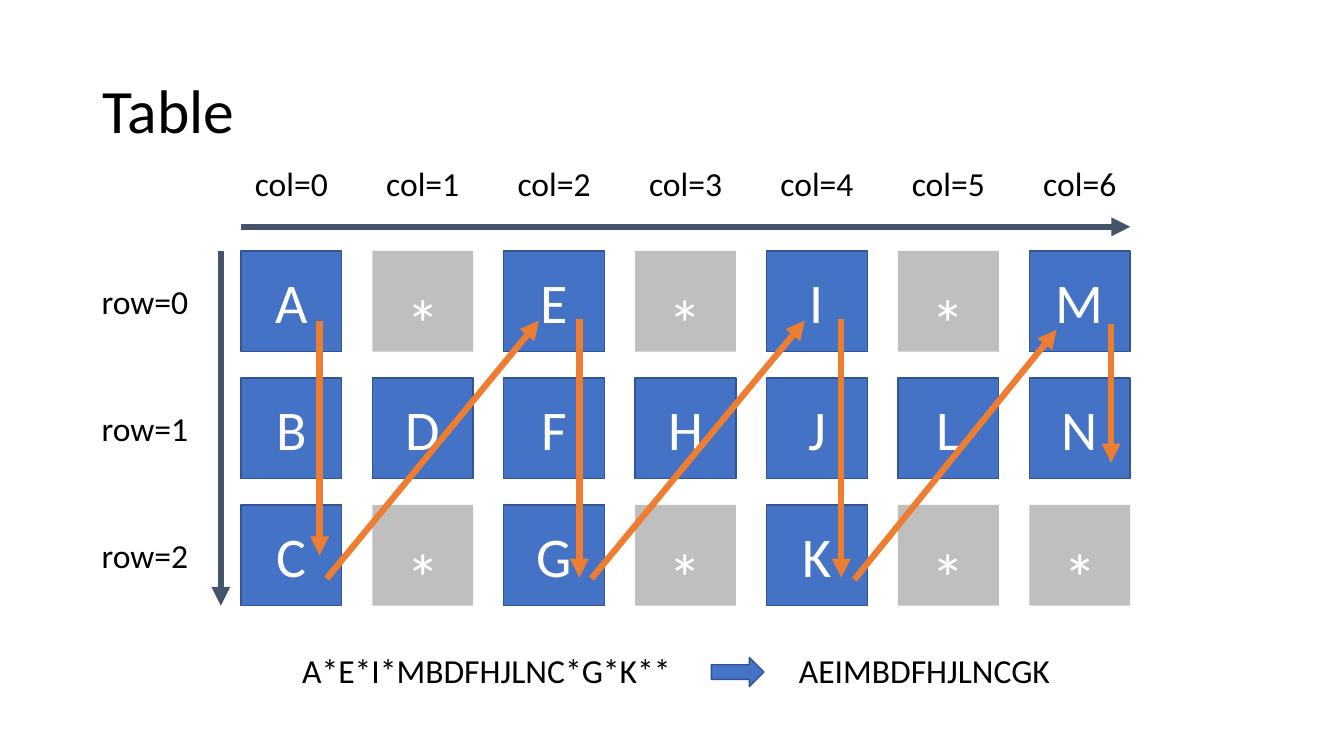
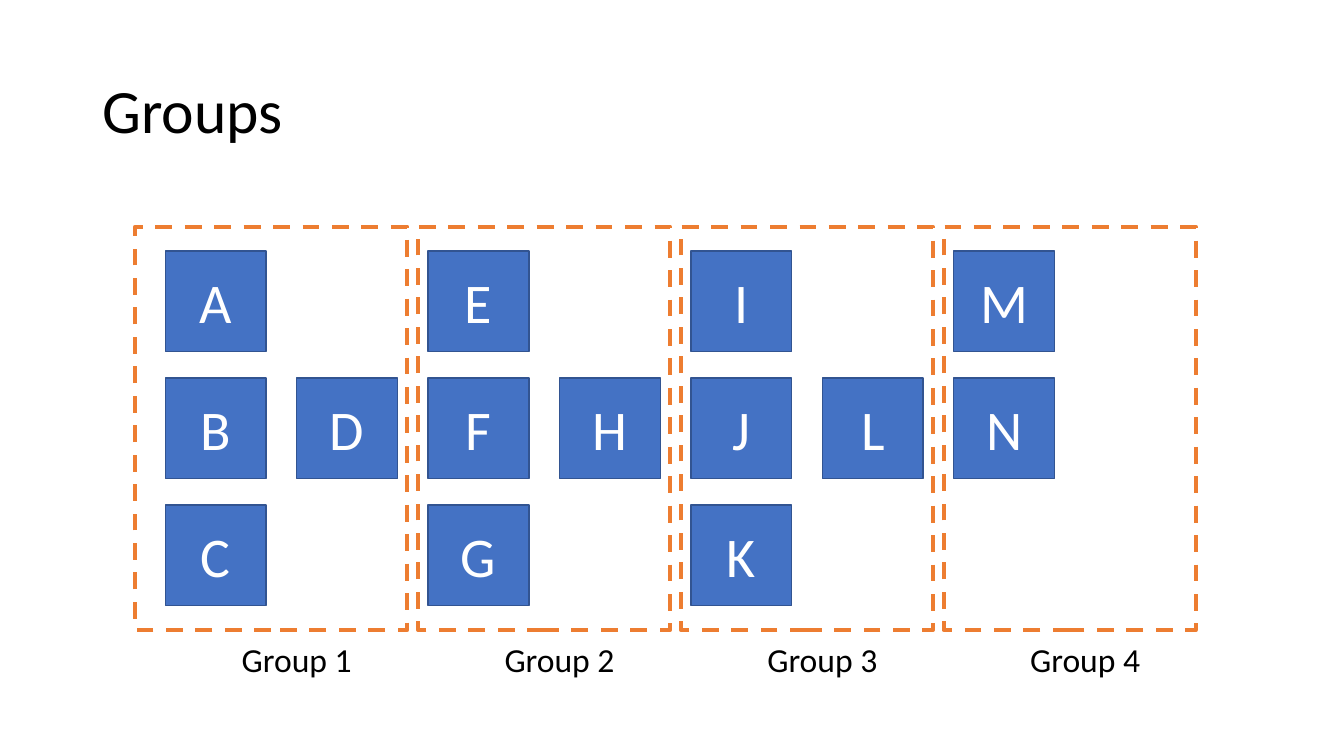
import dataclasses
import typing

import lxml.etree
import pptx
import pptx.dml.color
import pptx.enum.dml
import pptx.enum.shapes
import pptx.enum.text
import pptx.oxml.ns
import pptx.util

Inches = pptx.util.Inches
Pt = pptx.util.Pt
Align = pptx.enum.text.PP_ALIGN
Shape = pptx.enum.shapes.MSO_SHAPE


@dataclasses.dataclass(frozen=True)
class Theme:
    font: str = "Calibri"
    title_size: float = 44
    letter_size: float = 40
    filler_size: float = 48
    label_size: float = 24
    text: str = "000000"
    cell_text: str = "FFFFFF"
    cell: str = "4472C4"
    cell_edge: str = "325491"
    filler: str = "BFBFBF"
    accent: str = "ED7D31"
    axis: str = "44546A"
    cell_edge_width: float = 1
    frame_width: float = 3
    arrow_width: float = 4.5


@dataclasses.dataclass(frozen=True)
class Box:
    left: float
    top: float
    width: float
    height: float

    def lengths(self) -> list[int]:
        return [Inches(value) for value in dataclasses.astuple(self)]


@dataclasses.dataclass(frozen=True)
class Grid:
    """Square cells on an even pitch; x and y also take fractions of a column or row."""
    left: float
    top: float = 2.49
    cell: float = 1
    column_pitch: float = 7.82 / 6
    row_pitch: float = 1.26

    def x(self, column: float) -> float:
        return self.left + column * self.column_pitch

    def y(self, row: float) -> float:
        return self.top + row * self.row_pitch

    def box(self, column: int, row: int) -> Box:
        return Box(self.x(column), self.y(row), self.cell, self.cell)


class Anchor(typing.NamedTuple):
    """A place inside a cell, as shares of the cell's side."""
    column: int
    row: int
    across: float
    down: float


class Stroke(typing.NamedTuple):
    start: Anchor
    end: Anchor


THEME = Theme()
SLIDE_WIDTH, SLIDE_HEIGHT = 13.33, 7.5
TITLE_MARGIN = SLIDE_WIDTH * 11 / 160
TITLE_BOX = Box(TITLE_MARGIN, SLIDE_HEIGHT * 4 / 75,
                SLIDE_WIDTH - 2 * TITLE_MARGIN, SLIDE_HEIGHT * 29 / 150)
TABLE_GRID = Grid(left=2.39)
GROUP_GRID = Grid(left=1.64)
FILLER = "*"
ROWS = ("A*E*I*M", "BDFHJLN", "C*G*K**")
COLUMN_COUNT = len(ROWS[0])
AXIS_GAP_X, AXIS_GAP_Y = 0.2, 0.24
LABEL_HEIGHT = 0.5
READING_ORDER = (
    Stroke(Anchor(0, 0, 0.78, 0.69), Anchor(0, 2, 0.78, 0.5)),
    Stroke(Anchor(0, 2, 0.85, 0.73), Anchor(2, 0, 0.35, 0.69)),
    Stroke(Anchor(2, 0, 0.75, 0.67), Anchor(2, 2, 0.75, 0.72)),
    Stroke(Anchor(2, 2, 0.87, 0.73), Anchor(4, 0, 0.38, 0.69)),
    Stroke(Anchor(4, 0, 0.74, 0.67), Anchor(4, 2, 0.74, 0.72)),
    Stroke(Anchor(4, 2, 0.87, 0.74), Anchor(6, 0, 0.27, 0.78)),
    Stroke(Anchor(6, 0, 0.81, 0.72), Anchor(6, 1, 0.81, 0.84)),
)


def rgb(value: str) -> pptx.dml.color.RGBColor:
    return pptx.dml.color.RGBColor.from_string(value)


def write(frame, text: str, size: float, color: str, align=Align.LEFT, spacing: float = 1) -> None:
    para = frame.paragraphs[0]
    para.alignment = align
    para.line_spacing = spacing
    span = para.add_run()
    span.text = text
    span.font.name = THEME.font
    span.font.size = Pt(size)
    span.font.color.rgb = rgb(color)


def add_titled_page(deck, title: str):
    page = deck.slides.add_slide(deck.slide_layouts[5])
    holder = page.shapes.title
    holder.left, holder.top, holder.width, holder.height = TITLE_BOX.lengths()
    frame = holder.text_frame
    frame.auto_size = pptx.enum.text.MSO_AUTO_SIZE.NONE
    frame.vertical_anchor = pptx.enum.text.MSO_ANCHOR.MIDDLE
    write(frame, title, THEME.title_size, THEME.text, spacing=0.9)
    return page


def add_figure(page, kind, box: Box, fill: str | None = None,
               edge: str | None = None, edge_width: float = 0):
    figure = page.shapes.add_shape(kind, *box.lengths())
    figure.shadow.inherit = False
    if fill:
        figure.fill.solid()
        figure.fill.fore_color.rgb = rgb(fill)
    else:
        figure.fill.background()
    if edge:
        figure.line.color.rgb = rgb(edge)
        figure.line.width = Pt(edge_width)
    else:
        figure.line.fill.background()
    return figure


def add_cell(page, box: Box, letter: str) -> None:
    if letter == FILLER:
        cell = add_figure(page, Shape.RECTANGLE, box, THEME.filler)
        size, spacing = THEME.filler_size, 1.5
    else:
        cell = add_figure(page, Shape.RECTANGLE, box, THEME.cell,
                          THEME.cell_edge, THEME.cell_edge_width)
        size, spacing = THEME.letter_size, 1
    cell.text_frame.vertical_anchor = pptx.enum.text.MSO_ANCHOR.MIDDLE
    write(cell.text_frame, letter, size, THEME.cell_text, Align.CENTER, spacing)


def add_cells(page, grid: Grid, with_fillers: bool) -> None:
    for row, letters in enumerate(ROWS):
        for column, letter in enumerate(letters):
            if with_fillers or letter != FILLER:
                add_cell(page, grid.box(column, row), letter)


def add_label(page, text: str, left: float, top: float, width: float, align=Align.LEFT) -> None:
    label = page.shapes.add_textbox(*Box(left, top, width, LABEL_HEIGHT).lengths())
    frame = label.text_frame
    frame.word_wrap = False
    frame.auto_size = pptx.enum.text.MSO_AUTO_SIZE.SHAPE_TO_FIT_TEXT
    write(frame, text, THEME.label_size, THEME.text, align)


def add_centred_label(page, text: str, centre: float, top: float, width: float) -> None:
    add_label(page, text, centre - width / 2, top, width, Align.CENTER)


def add_arrow(page, start: tuple[float, float], end: tuple[float, float], color: str) -> None:
    ends = [Inches(value) for value in (*start, *end)]
    arrow = page.shapes.add_connector(pptx.enum.shapes.MSO_CONNECTOR.STRAIGHT, *ends)
    arrow.line.color.rgb = rgb(color)
    arrow.line.width = Pt(THEME.arrow_width)
    qualified = pptx.oxml.ns.qn
    lxml.etree.SubElement(arrow.line._get_or_add_ln(), qualified("a:tailEnd"), type="triangle")
    lxml.etree.SubElement(arrow._element.spPr, qualified("a:effectLst"))


def add_axes(page, grid: Grid) -> None:
    right = grid.x(COLUMN_COUNT - 1) + grid.cell
    bottom = grid.y(len(ROWS) - 1) + grid.cell
    row_axis = grid.left - AXIS_GAP_X
    column_axis = grid.top - AXIS_GAP_Y
    add_arrow(page, (row_axis, grid.top), (row_axis, bottom), THEME.axis)
    add_arrow(page, (grid.left, column_axis), (right, column_axis), THEME.axis)
    for row in range(len(ROWS)):
        middle = grid.y(row) + grid.cell / 2
        add_label(page, f"row={row}", 0.91, middle - LABEL_HEIGHT / 2, 1.07)
    for column in range(COLUMN_COUNT):
        centre = grid.x(column) + grid.cell / 2
        add_centred_label(page, f"col={column}", centre, 1.57, 0.93)


def build_table_page(deck) -> None:
    page = add_titled_page(deck, "Table")
    grid = TABLE_GRID
    add_cells(page, grid, with_fillers=True)

    def place(anchor: Anchor) -> tuple[float, float]:
        return (grid.x(anchor.column) + anchor.across * grid.cell,
                grid.y(anchor.row) + anchor.down * grid.cell)

    for stroke in READING_ORDER:
        add_arrow(page, place(stroke.start), place(stroke.end), THEME.accent)
    add_axes(page, grid)

    joined = "".join(ROWS)
    add_label(page, joined, grid.x(0.39), grid.y(3.1), 3.9)
    add_label(page, joined.replace(FILLER, ""), grid.x(4.17), grid.y(3.1), 2.72)
    add_figure(page, Shape.RIGHT_ARROW, Box(grid.x(3.58), grid.y(3.2), 0.52, 0.29),
               THEME.cell, THEME.cell_edge, THEME.cell_edge_width)


def build_groups_page(deck) -> None:
    page = add_titled_page(deck, "Groups")
    grid = GROUP_GRID
    add_cells(page, grid, with_fillers=False)
    for number, column in enumerate(range(0, COLUMN_COUNT, 2), start=1):
        inset = 0.3 if number == 1 else 0.1
        box = Box(grid.x(column) - inset, grid.top - AXIS_GAP_Y, 2.4 + inset, 4)
        frame = add_figure(page, Shape.RECTANGLE, box, edge=THEME.accent,
                           edge_width=THEME.frame_width)
        frame.line.dash_style = pptx.enum.dml.MSO_LINE.DASH
        add_centred_label(page, f"Group {number}", grid.x(column + 1), 6.29, 1.3)


def main() -> None:
    deck = pptx.Presentation()
    deck.slide_width = Inches(SLIDE_WIDTH)
    deck.slide_height = Inches(SLIDE_HEIGHT)
    build_table_page(deck)
    build_groups_page(deck)
    deck.save("out.pptx")


if __name__ == "__main__":
    main()
